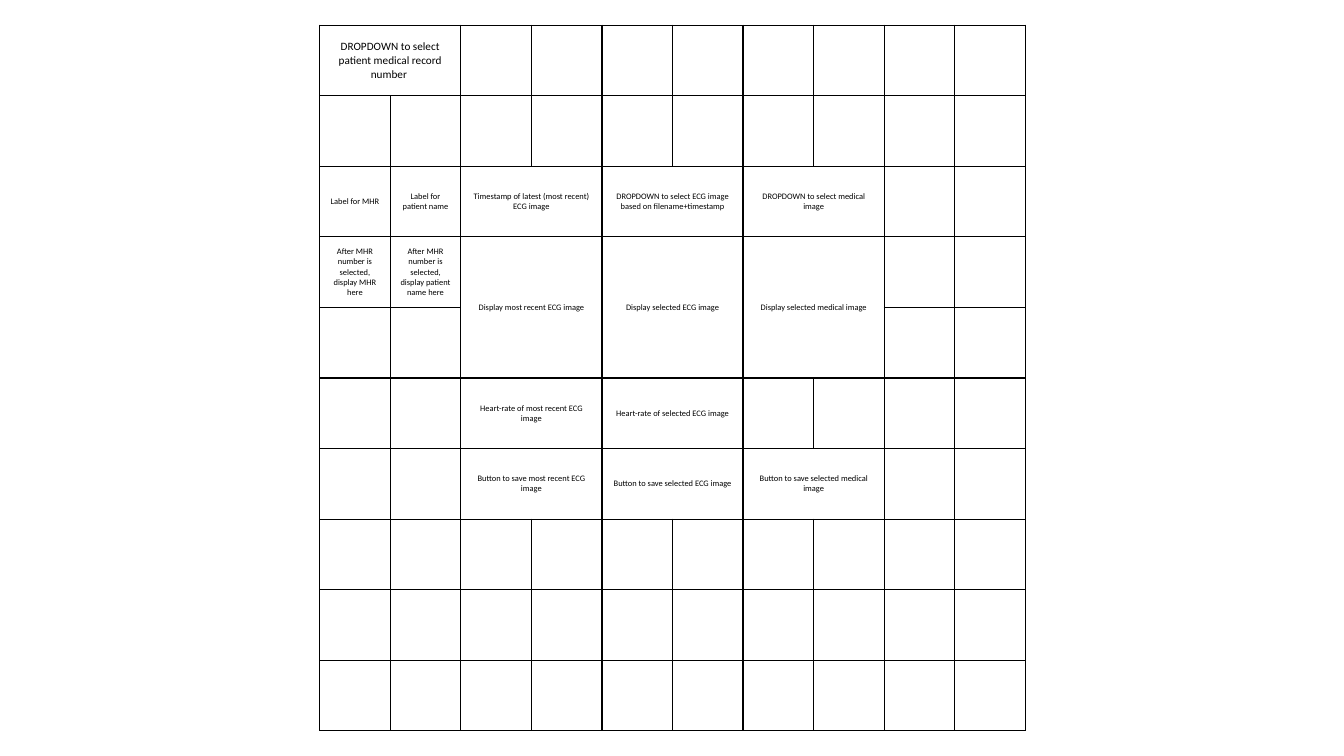
from lxml import etree
from pptx import Presentation
from pptx.dml.color import RGBColor
from pptx.enum import text
from pptx.oxml import ns
from pptx.util import Inches, Pt

# row, column, rows spanned, columns spanned, text
LABELS = [
    (0, 0, 1, 2, "DROPDOWN to select patient medical record number "),
    (2, 0, 1, 1, "Label for MHR"),
    (2, 1, 1, 1, "Label for patient name"),
    (2, 2, 1, 2, "Timestamp of latest (most recent) ECG image"),
    (2, 4, 1, 2, "DROPDOWN to select ECG image based on filename+timestamp"),
    (2, 6, 1, 2, "DROPDOWN to select medical image"),
    (3, 0, 1, 1, "After MHR number is selected, display MHR here"),
    (3, 1, 1, 1, "After MHR number is selected, display patient name here"),
    (3, 2, 2, 2, "Display most recent ECG image"),
    (3, 4, 2, 2, "Display selected ECG image"),
    (3, 6, 2, 2, "Display selected medical image"),
    (5, 2, 1, 2, "Heart-rate of most recent ECG image"),
    (5, 4, 1, 2, "Heart-rate of selected ECG image"),
    (6, 2, 1, 2, "Button to save most recent ECG image"),
    (6, 4, 1, 2, "Button to save selected ECG image"),
    (6, 6, 1, 2, "Button to save selected medical image"),
]
COLORS = {"ink": "000000"}
GRID_COUNT = 10
CELL_SIZE = 0.7
GRID_LEFT, GRID_TOP = 3.17, 0.25
HEADER_SIZE, LABEL_SIZE = 8, 6


def add_borders(cell):
    properties = cell._tc.get_or_add_tcPr()
    for position, side in enumerate(("lnL", "lnR", "lnT", "lnB")):
        line = etree.Element(ns.qn(f"a:{side}"), w=str(Pt(1)))
        fill = etree.SubElement(line, ns.qn("a:solidFill"))
        etree.SubElement(fill, ns.qn("a:srgbClr"), val=COLORS["ink"])
        properties.insert(position, line)


def write_label(cell, label, size):
    cell.text = label
    cell.vertical_anchor = text.MSO_ANCHOR.MIDDLE
    paragraph = cell.text_frame.paragraphs[0]
    paragraph.alignment = text.PP_ALIGN.CENTER
    font = paragraph.runs[0].font
    for name, value in {"name": "Calibri", "size": Pt(size), "bold": False}.items():
        setattr(font, name, value)
    font.color.rgb = RGBColor.from_string(COLORS["ink"])


def add_layout_grid(slide):
    side = Inches(GRID_COUNT * CELL_SIZE)
    table = slide.shapes.add_table(
        GRID_COUNT, GRID_COUNT, Inches(GRID_LEFT), Inches(GRID_TOP), side, side
    ).table
    table.first_row = table.horz_banding = False
    for column in table.columns:
        column.width = Inches(CELL_SIZE)
    for row in table.rows:
        row.height = Inches(CELL_SIZE)
    for cell in table.iter_cells():
        cell.fill.background()
        add_borders(cell)
    for row, column, row_span, column_span, label in LABELS:
        cell = table.cell(row, column)
        if row_span * column_span > 1:
            cell.merge(table.cell(row + row_span - 1, column + column_span - 1))
        write_label(cell, label, HEADER_SIZE if row == 0 else LABEL_SIZE)


def main():
    presentation = Presentation()
    presentation.slide_width = Inches(13.33)
    presentation.slide_height = Inches(7.5)
    slide = presentation.slides.add_slide(presentation.slide_layouts[6])
    add_layout_grid(slide)
    presentation.save("out.pptx")


if __name__ == "__main__":
    main()
